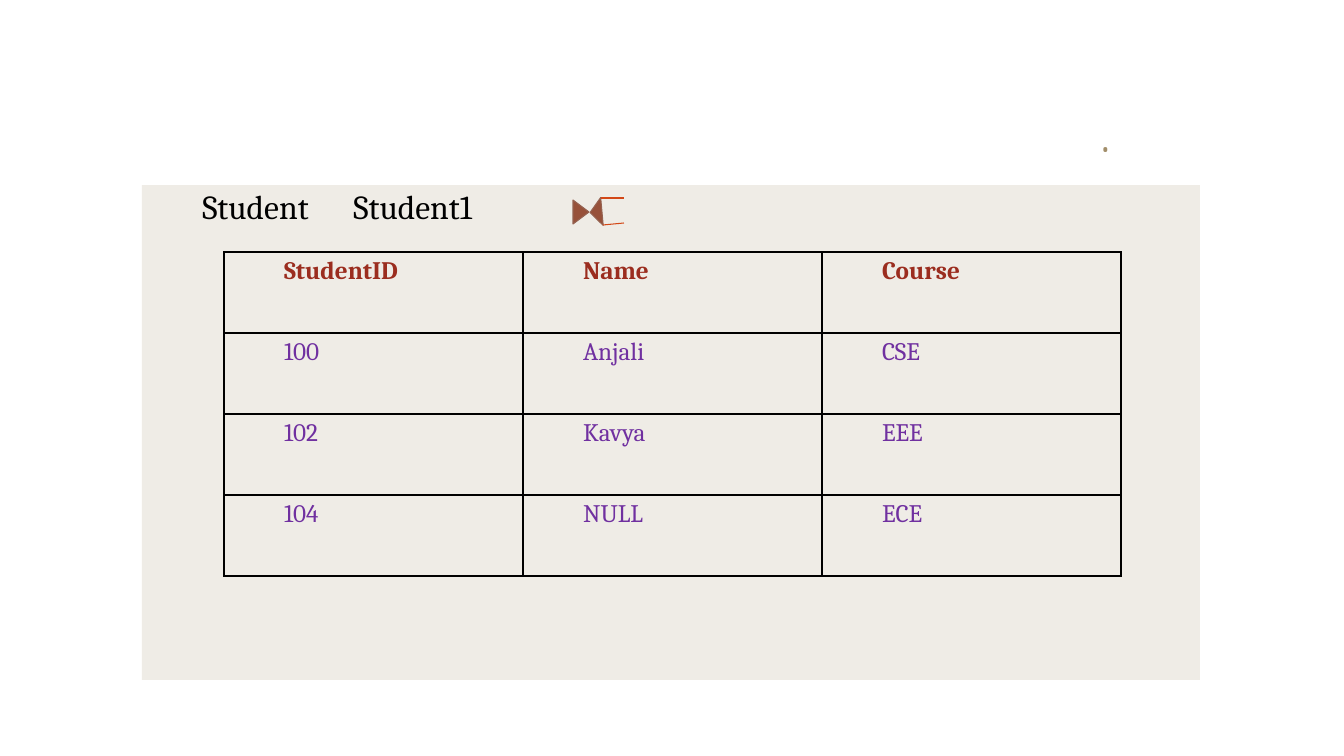
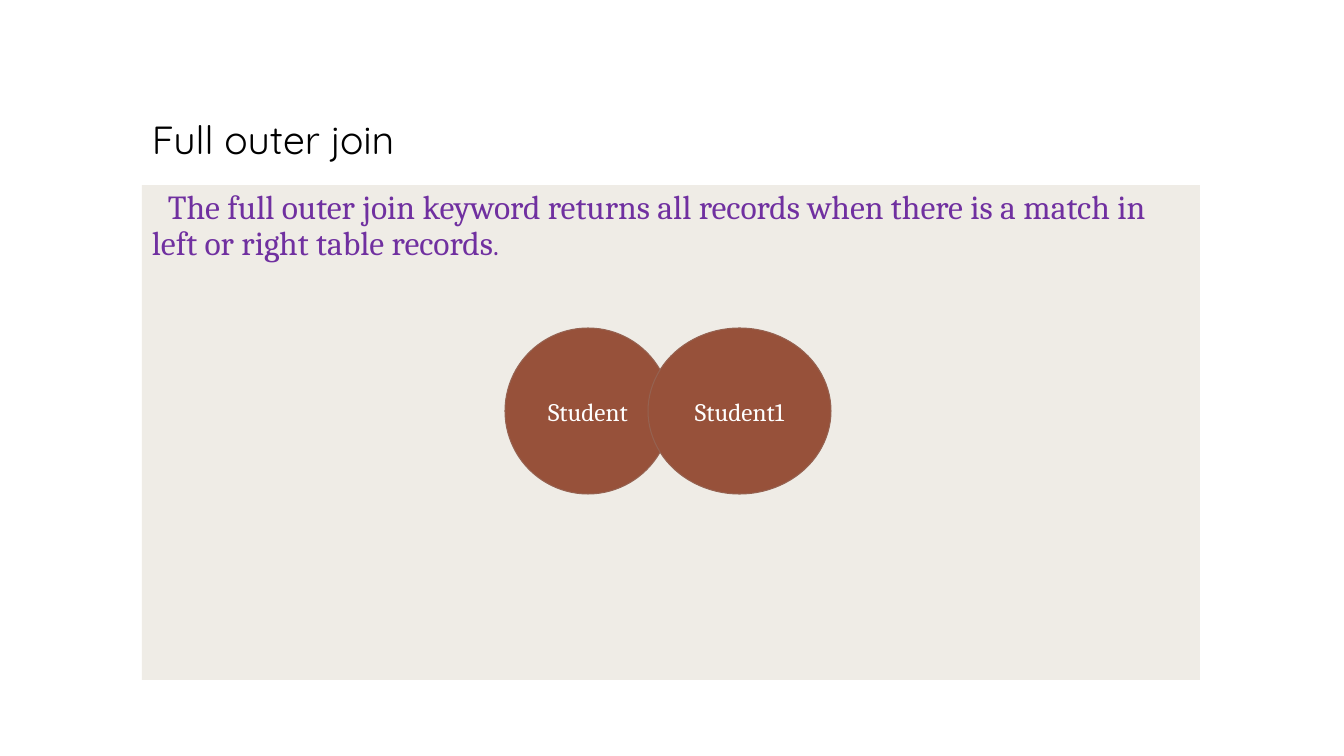
import pptx
import pptx.dml.color
import pptx.enum.shapes
import pptx.enum.text
import pptx.oxml
import pptx.oxml.ns
import pptx.util

SERIF, SANS = "Cambria", "Quicksand"
BLACK, WHITE, PURPLE, RED = "000000", "FFFFFF", "7030A0", "9B2D1F"
SAND, TAN, BRICK, BRICK_EDGE, ORANGE = "E9E5DC", "A28E6A", "97513A", "956251", "D34817"
NS = pptx.oxml.ns.nsdecls("a")
SHAPE = pptx.enum.shapes.MSO_SHAPE
ANCHOR = pptx.enum.text.MSO_ANCHOR
ALIGN = pptx.enum.text.PP_ALIGN
rgb = pptx.dml.color.RGBColor.from_string


def px(length):
    return pptx.util.Emu(round(length * 914400 / 100.8))


def write(frame, text, size, font, colour, bold=False):
    paragraph = frame.paragraphs[0]
    paragraph.text = text
    for run in paragraph.runs:
        run.font.size = pptx.util.Pt(size)
        run.font.name = font
        run.font.bold = bold
        run.font.color.rgb = rgb(colour)
    return paragraph


deck = pptx.Presentation()
deck.slide_width, deck.slide_height = px(1344), px(756)

pages = [
    (".", 36, TAN, 949, "\tStudent\tStudent1", BLACK, 0, (243, 453)),
    ("Full outer join", 28, BLACK, 0,
     "The full outer join keyword returns all records when there is a match in left or right table records",
     PURPLE, 16, ()),
]
slides, statements = [], []
for heading, heading_size, heading_colour, heading_indent, body, body_colour, body_indent, stops in pages:
    slide = deck.slides.add_slide(deck.slide_layouts[6])
    slides.append(slide)

    title = slide.shapes.add_textbox(px(142), px(42), px(1058), px(126)).text_frame
    title.word_wrap = True
    title.vertical_anchor = ANCHOR.BOTTOM
    title_line = write(title, heading, heading_size, SANS, heading_colour)
    title_line.line_spacing = 0.9
    title_line._p.get_or_add_pPr().set("marL", str(px(heading_indent)))

    panel = slide.shapes.add_shape(SHAPE.RECTANGLE, px(142), px(185), px(1058), px(495))
    panel.shadow.inherit = False
    panel.fill.solid()
    panel.fill.fore_color.rgb = rgb(SAND)
    tint = panel._element.spPr.find(".//" + pptx.oxml.ns.qn("a:srgbClr"))
    tint.append(pptx.oxml.parse_xml(f'<a:alpha {NS} val="70000"/>'))
    panel.line.fill.background()
    panel.text_frame.word_wrap = True
    panel.text_frame.vertical_anchor = ANCHOR.TOP
    statement = panel.text_frame.paragraphs[0]
    properties = statement._p.get_or_add_pPr()
    properties.set("indent", str(px(body_indent)))
    if stops:
        tabs = "".join(f'<a:tab pos="{px(stop)}" algn="l"/>' for stop in stops)
        properties.append(pptx.oxml.parse_xml(f"<a:tabLst {NS}>{tabs}</a:tabLst>"))
    write(panel.text_frame, body, 24, SERIF, body_colour)
    statement.alignment = ALIGN.LEFT
    statement.line_spacing = 0.9
    statements.append(statement)

join_slide, outer_slide = slides

full_stop = statements[1].add_run()
full_stop.text = "."
full_stop.font.size = pptx.util.Pt(20)
full_stop.font.name = SERIF
full_stop.font.color.rgb = rgb(PURPLE)

figures = [
    (join_slide, SHAPE.ISOSCELES_TRIANGLE, (569, 204, 24, 16), 90, ""),
    (join_slide, SHAPE.ISOSCELES_TRIANGLE, (582, 206, 28, 12), 264.8, ""),
    (outer_slide, SHAPE.OVAL, (505, 328, 166, 166), 0, "Student"),
    (outer_slide, SHAPE.OVAL, (648, 328, 183, 166), 0, "Student1"),
]
for slide, outline, box, rotation, label in figures:
    figure = slide.shapes.add_shape(outline, *map(px, box))
    figure.rotation = rotation
    figure.shadow.inherit = False
    figure.fill.solid()
    figure.fill.fore_color.rgb = rgb(BRICK)
    figure.line.color.rgb = rgb(BRICK_EDGE)
    figure.line.width = pptx.util.Pt(0.75)
    if label:
        figure.text_frame.vertical_anchor = ANCHOR.MIDDLE
        write(figure.text_frame, label, 18, SERIF, WHITE).alignment = ALIGN.CENTER

for ends in [(601, 198, 624, 198), (603, 225, 624, 223)]:
    join_arm = join_slide.shapes.add_connector(
        pptx.enum.shapes.MSO_CONNECTOR.STRAIGHT, *map(px, ends))
    join_arm.line.color.rgb = rgb(ORANGE)
    join_arm.line.width = pptx.util.Pt(0.75)
    join_arm._element.spPr.append(pptx.oxml.parse_xml(f"<a:effectLst {NS}/>"))

records = [
    ("StudentID", "Name", "Course"),
    ("100", "Anjali", "CSE"),
    ("102", "Kavya", "EEE"),
    ("104", "NULL", "ECE"),
]
students = join_slide.shapes.add_table(
    len(records), 3, px(224), px(252), px(3 * 299), px(len(records) * 81)).table
students.first_row = False
students.horz_banding = False
for column in students.columns:
    column.width = px(299)
for r, record in enumerate(records):
    students.rows[r].height = px(81)
    for c, value in enumerate(record):
        cell = students.cell(r, c)
        entry = write(cell.text_frame, value, 18, SERIF, PURPLE if r else RED, bold=r == 0)
        entry._p.get_or_add_pPr().set("marL", str(px(50)))
        for side in ("lnL", "lnR", "lnT", "lnB"):
            cell._tc.get_or_add_tcPr().append(pptx.oxml.parse_xml(
                f'<a:{side} {NS} w="12700"><a:solidFill><a:srgbClr val="{BLACK}"/>'
                f"</a:solidFill></a:{side}>"))
        cell.fill.background()

deck.save("out.pptx")
